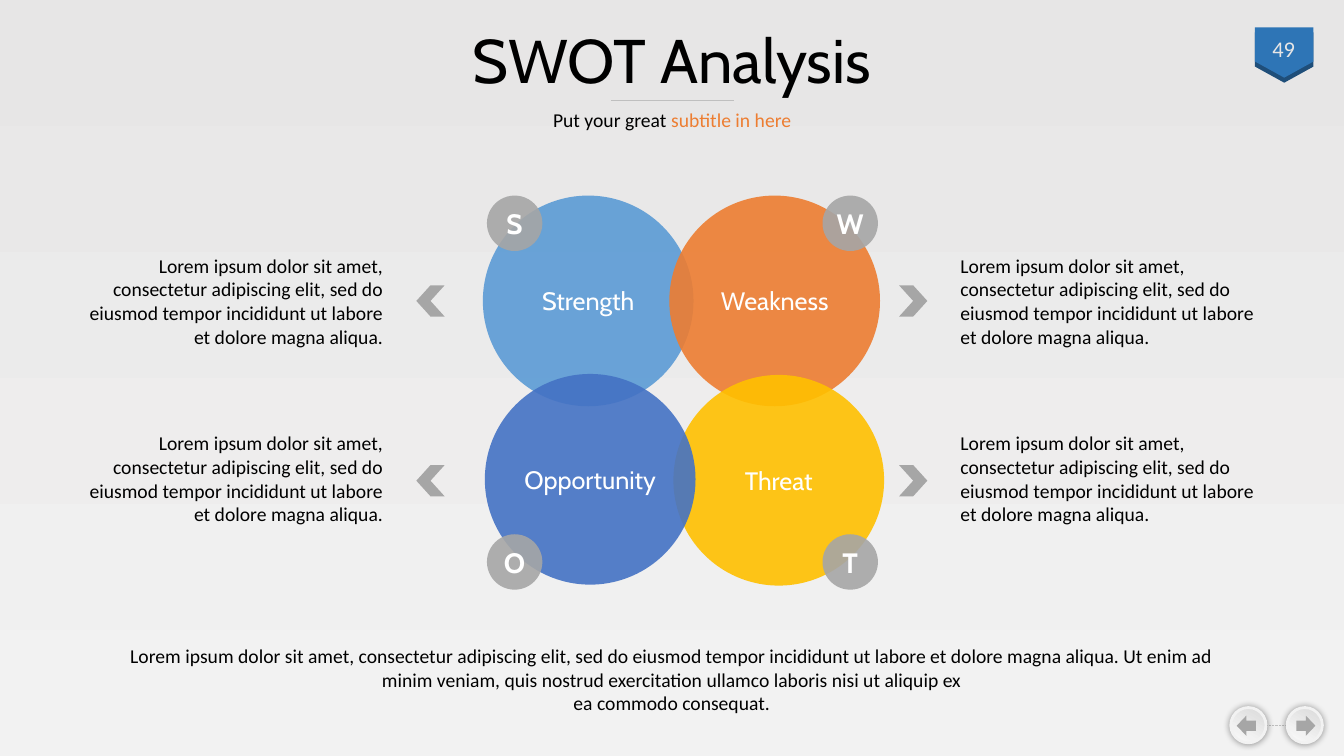
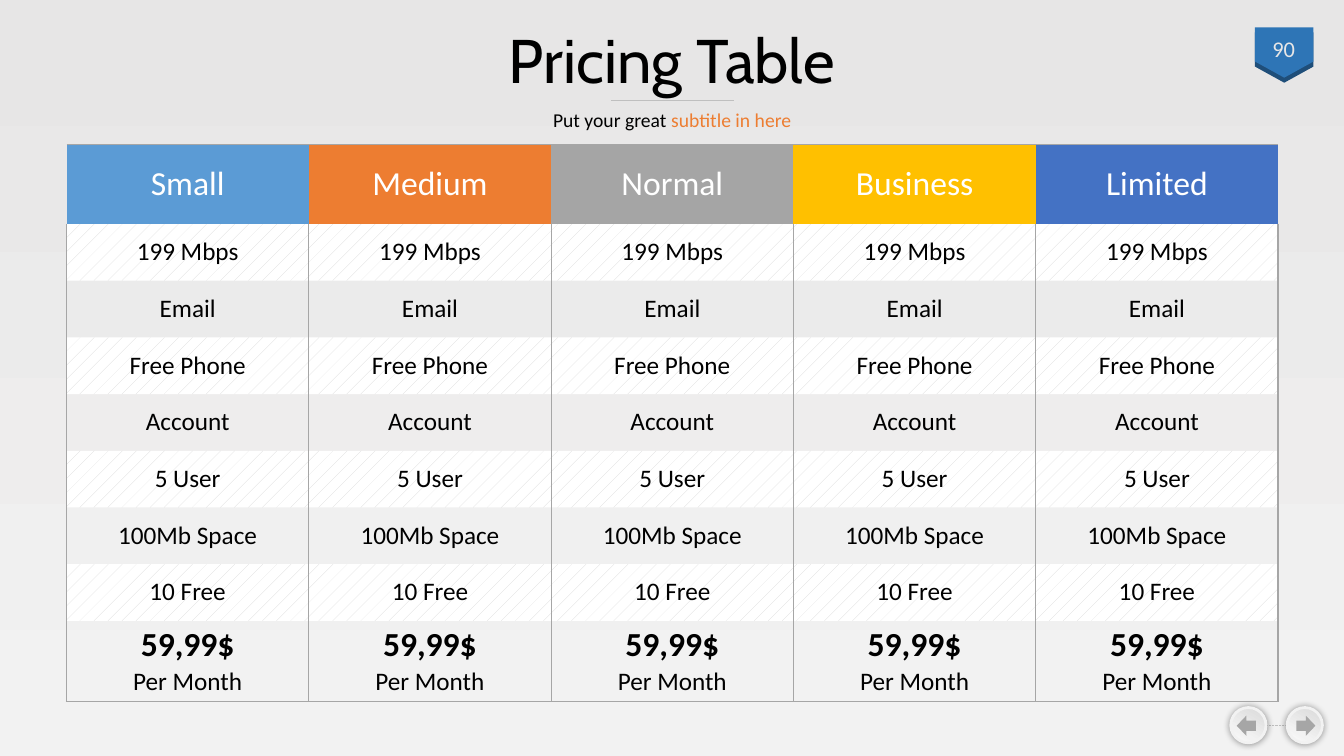
import copy
import dataclasses

import lxml.etree
import pptx
import pptx.dml.color
import pptx.enum.dml
import pptx.enum.shapes
import pptx.enum.text
import pptx.oxml.ns
import pptx.util

Pt = pptx.util.Pt
qn = pptx.oxml.ns.qn
SHAPE = pptx.enum.shapes.MSO_SHAPE
ALIGN = pptx.enum.text.PP_ALIGN
ANCHOR = pptx.enum.text.MSO_ANCHOR
NO_STYLE_TABLE = "{2D5ABB26-0587-4C30-8999-92F81FD0307C}"


@dataclasses.dataclass(frozen=True)
class Theme:
    # Colours
    black: str = "000000"
    white: str = "FFFFFF"
    blue: str = "5B9BD5"
    orange: str = "ED7D31"
    gray: str = "A5A5A5"
    gold: str = "FFC000"
    indigo: str = "4472C4"
    badge: str = "2E75B6"
    badge_dark: str = "1F4E79"
    badge_text: str = "E7E6E6"
    marker: str = "A6A6A6"
    rule: str = "BFBFBF"
    stripe: str = "D9D9D9"
    button_edge: str = "F2F2F2"
    background: tuple = ((0, "E7E6E6"), (1, "F2F2F2"))
    button: tuple = ((0.01, "D9D9D9"), (0.71, "F2F2F2"), (1, "FFFFFF"))
    # Fonts and type sizes
    heading: str = "Cabin"
    body: str = "Calibri"
    title_size: int = 44
    large_size: int = 24
    letter_size: int = 20
    label_size: int = 18
    number_size: int = 16
    text_size: int = 14


THEME = Theme()


def rgb(value):
    return pptx.dml.color.RGBColor.from_string(value)


class Deck:
    """Holds the presentation, its theme and the slide being built."""

    def __init__(self, theme):
        self.theme = theme
        self.presentation = pptx.Presentation()
        self.presentation.slide_width = Pt(960)
        self.presentation.slide_height = Pt(540)
        master = self.presentation.slide_master
        self.gradient(master.background.fill, master.element, theme.background, 270)
        self.slide = None

    # Fills and effects
    def gradient(self, fill, element, stops, angle):
        fill.gradient()
        fill.gradient_angle = angle
        stop_list = element.find(".//" + qn("a:gsLst"))
        while len(stop_list) < len(stops):
            stop_list.append(copy.deepcopy(stop_list[-1]))
        for stop, (position, color) in zip(fill.gradient_stops, stops):
            stop.position = position
            stop.color.rgb = rgb(color)

    def glow_shadow(self, shape):
        effects = shape._element.spPr.find(qn("a:effectLst"))
        shadow = lxml.etree.SubElement(
            effects, qn("a:outerShdw"), blurRad=str(Pt(5)), dist="0", dir="0",
            algn="ctr", rotWithShape="0")
        color = lxml.etree.SubElement(shadow, qn("a:srgbClr"), val=self.theme.black)
        lxml.etree.SubElement(color, qn("a:alpha"), val="40000")

    # Text
    def styled_run(self, paragraph, text, size, color=None, font=None, bold=False):
        run = paragraph.add_run()
        run.text = text
        run.font.name = font or self.theme.body
        run.font.size = Pt(size)
        run.font.bold = bold
        run.font.color.rgb = rgb(color or self.theme.black)

    def fill_frame(self, frame, paragraphs, align=ALIGN.CENTER):
        """Each paragraph is a list of argument tuples for styled_run()."""
        for index, runs in enumerate(paragraphs):
            paragraph = frame.add_paragraph() if index else frame.paragraphs[0]
            paragraph.alignment = align
            for arguments in runs:
                self.styled_run(paragraph, *arguments)

    def text(self, left, top, width, height, paragraphs, align=ALIGN.CENTER,
             anchor=ANCHOR.TOP):
        box = self.slide.shapes.add_textbox(Pt(left), Pt(top), Pt(width), Pt(height))
        frame = box.text_frame
        frame.word_wrap = True
        frame.vertical_anchor = anchor
        self.fill_frame(frame, paragraphs, align)
        return box

    # Shapes and lines
    def shape(self, kind, left, top, width, height, color=None, rotation=0, opacity=100):
        shape = self.slide.shapes.add_shape(kind, Pt(left), Pt(top), Pt(width), Pt(height))
        shape.shadow.inherit = False
        shape.line.fill.background()
        shape.rotation = rotation
        if color:
            shape.fill.solid()
            shape.fill.fore_color.rgb = rgb(color)
        if opacity < 100:
            fill_color = shape._element.spPr.find(".//" + qn("a:srgbClr"))
            lxml.etree.SubElement(fill_color, qn("a:alpha"), val=str(opacity * 1000))
        return shape

    def disc(self, left, top, diameter, color, label, size, bold=False):
        disc = self.shape(SHAPE.OVAL, left, top, diameter, diameter, color, opacity=90)
        frame = disc.text_frame
        frame.margin_left = frame.margin_right = 0
        frame.word_wrap = False
        frame.vertical_anchor = ANCHOR.MIDDLE
        self.fill_frame(frame, [[(label, size, self.theme.white, self.theme.heading, bold)]])

    def line(self, left, right, y, dash=None):
        line = self.slide.shapes.add_connector(
            pptx.enum.shapes.MSO_CONNECTOR.STRAIGHT, Pt(left), Pt(y), Pt(right), Pt(y))
        line.line.color.rgb = rgb(self.theme.rule)
        line.line.width = Pt(0.5)
        if dash:
            line.line.dash_style = dash
        lxml.etree.SubElement(line._element.spPr, qn("a:effectLst"))

    def button(self, left, arrow_kind, arrow_left):
        button = self.shape(SHAPE.OVAL, left, 505.4, 25.2, 25.2)
        self.gradient(button.fill, button._element, self.theme.button, 240)
        button.line.color.rgb = rgb(self.theme.button_edge)
        button.line.width = Pt(2)
        self.glow_shadow(button)
        self.shape(arrow_kind, arrow_left, 511.2, 13.7, 14.4, self.theme.marker)

    def stripe(self, left, top, width, height):
        stripe = self.shape(SHAPE.RECTANGLE, left, top, width, height)
        stripe.fill.patterned()
        stripe.fill.pattern = pptx.enum.dml.MSO_PATTERN.PERCENT_5
        stripe.fill.fore_color.rgb = rgb(self.theme.stripe)
        stripe.fill.back_color.rgb = rgb(self.theme.white)

    # Tables
    def table(self, left, top, column_width, columns, row_heights):
        frame = self.slide.shapes.add_table(
            len(row_heights), columns, Pt(left), Pt(top),
            Pt(column_width * columns), Pt(sum(row_heights)))
        table = frame.table
        table.first_row = table.horz_banding = False
        table._tbl.tblPr.find(qn("a:tableStyleId")).text = NO_STYLE_TABLE
        for column in table.columns:
            column.width = Pt(column_width)
        for row, height in zip(table.rows, row_heights):
            row.height = Pt(height)
        return table

    def cell(self, cell, paragraphs, color=None, borders=()):
        cell.vertical_anchor = ANCHOR.MIDDLE
        cell.margin_top = cell.margin_bottom = 0
        if color:
            cell.fill.solid()
            cell.fill.fore_color.rgb = rgb(color)
        else:
            cell.fill.background()
        self.fill_frame(cell.text_frame, paragraphs)
        properties = cell._tc.get_or_add_tcPr()
        for index, side in enumerate(("lnL", "lnR", "lnT", "lnB")):
            edge = lxml.etree.Element(qn("a:" + side), w=str(Pt(1)))
            if side in borders:
                fill = lxml.etree.SubElement(edge, qn("a:solidFill"))
                lxml.etree.SubElement(fill, qn("a:srgbClr"), val=self.theme.marker)
            else:
                lxml.etree.SubElement(edge, qn("a:noFill"))
            properties.insert(index, edge)

    # Parts common to every slide
    def new_slide(self, title, number):
        theme = self.theme
        self.slide = self.presentation.slides.add_slide(self.presentation.slide_layouts[6])
        for top, color in ((20.2, theme.badge_dark), (16.6, theme.badge)):
            badge = self.shape(SHAPE.PENTAGON, 899.3, top, 36, 41.8, color, rotation=90)
            badge.adjustments[0] = 0.32
        self.line(436.3, 524.2, 72)
        self.line(904.3, 919.4, 518.4, pptx.enum.dml.MSO_LINE.ROUND_DOT)
        self.button(919.4, SHAPE.RIGHT_ARROW, 925.9)
        self.button(879.1, SHAPE.LEFT_ARROW, 883.4)
        heading = self.text(
            185, 13.7, 589.7, 63.4,
            [[(title, theme.title_size, theme.black, theme.heading)]], anchor=ANCHOR.MIDDLE)
        heading.text_frame.paragraphs[0].line_spacing = 0.9
        self.text(889.2, 20.2, 55.4, 28.8,
                  [[(str(number), theme.number_size, theme.badge_text)]], anchor=ANCHOR.MIDDLE)
        self.text(318.2, 71.3, 324, 28.8,
                  [[("Put your great ", theme.text_size),
                    ("subtitle in here", theme.text_size, theme.orange)]],
                  anchor=ANCHOR.MIDDLE)


LOREM = ("Lorem ipsum dolor sit amet, consectetur adipiscing elit, sed do eiusmod "
         "tempor incididunt ut labore et dolore magna aliqua.")
LOREM_MORE = (" Ut enim ad minim veniam, quis nostrud exercitation ullamco laboris "
              "nisi ut aliquip ex")


def build_swot(deck):
    theme = deck.theme
    deck.new_slide("SWOT Analysis", 49)

    # Overlapping circles
    for label, left, top, color in (
            ("Strength", 344.9, 139.7, theme.blue),
            ("Weakness", 478.1, 139.7, theme.orange),
            ("Threat", 481, 267.8, theme.gold),
            ("Opportunity", 346.3, 267.1, theme.indigo)):
        deck.disc(left, top, 150.5, color, label, theme.label_size)

    # Initials on the outer corners
    for letters, top in (("SW", 139.7), ("OT", 381.6)):
        for letter, left in zip(letters, (347.8, 587.5)):
            deck.disc(left, top, 39.6, theme.marker, letter, theme.letter_size, True)

    # Chevrons and descriptions on both sides
    for chevron_top, text_top in ((203.8, 177.8), (332.2, 304.6)):
        for chevron_left, rotation, text_left, align in (
                (297.4, 180, 43.2, ALIGN.RIGHT), (642.2, 0, 679, ALIGN.LEFT)):
            deck.shape(SHAPE.CHEVRON, chevron_left, chevron_top, 20.2, 22.3,
                       theme.marker, rotation)
            deck.text(text_left, text_top, 237.6, 74.9,
                      [[(LOREM, theme.text_size)]], align)

    # Summary
    deck.text(85.7, 456.5, 788.4, 58.3,
              [[(LOREM + LOREM_MORE, theme.text_size)],
               [("ea commodo consequat.", theme.text_size)]])


def build_pricing(deck):
    theme = deck.theme
    deck.new_slide("Pricing Table", 90)
    plans = (("Small", theme.blue), ("Medium", theme.orange), ("Normal", theme.gray),
             ("Business", theme.gold), ("Limited", theme.indigo))
    features = ("199 Mbps", "Email", "Free Phone", "Account", "5 User",
                "100Mb Space", "10 Free")
    left, top, column_width = 47.5, 103.5, 173.1
    header_height, row_height, price_height = 56.5, 40.5, 57.5

    # Striped bands under every other feature
    for index in range(0, len(features), 2):
        deck.stripe(left, top + header_height + index * row_height,
                    column_width * len(plans), row_height)

    # Plans, features and prices
    heights = [header_height] + [row_height] * len(features) + [price_height]
    table = deck.table(left, top, column_width, len(plans), heights)
    price = [[("59,99$", theme.large_size, theme.black, theme.body, True)],
             [("Per Month", theme.label_size)]]
    for column, (plan, color) in enumerate(plans):
        deck.cell(table.cell(0, column), [[(plan, theme.large_size, theme.white)]],
                  color, ("lnT",))
        for row, feature in enumerate(features, start=1):
            deck.cell(table.cell(row, column), [[(feature, theme.label_size)]],
                      borders=("lnL", "lnR"))
        deck.cell(table.cell(len(features) + 1, column), price,
                  borders=("lnL", "lnR", "lnB"))


def main():
    deck = Deck(THEME)
    build_swot(deck)
    build_pricing(deck)
    deck.presentation.save("out.pptx")


if __name__ == "__main__":
    main()
